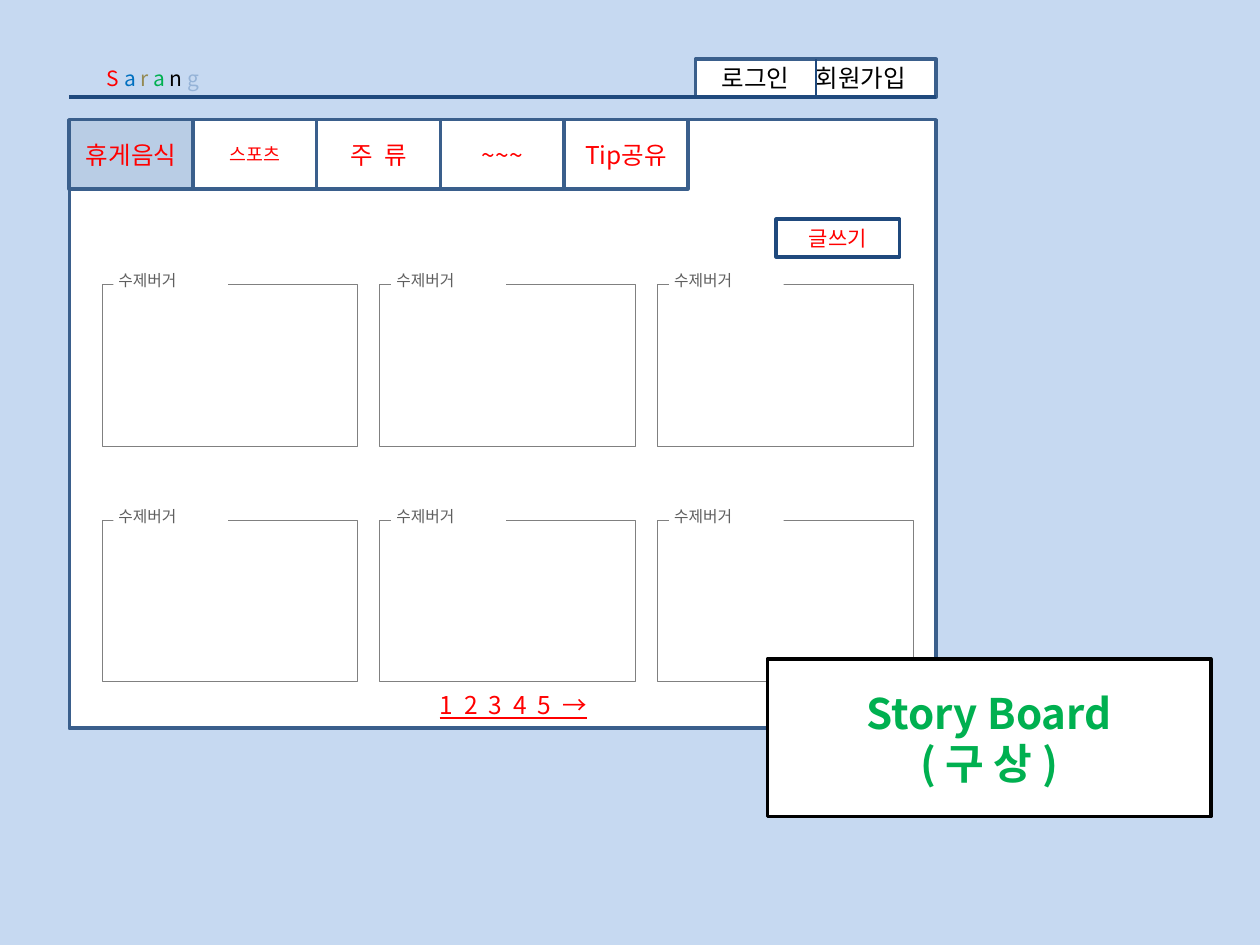
from lxml.etree import SubElement
from pptx import Presentation
from pptx.dml.color import RGBColor
from pptx.enum.shapes import MSO_CONNECTOR, MSO_SHAPE
from pptx.enum.text import MSO_ANCHOR, MSO_AUTO_SIZE, PP_ALIGN
from pptx.oxml.ns import qn
from pptx.util import Inches, Pt

COLORS = {
    "background": "C6D9F1", "white": "FFFFFF", "black": "000000",
    "border": "3A5F8C", "navy": "1F497D", "active": "B9CDE5",
    "card": "808080", "caption": "5F5F5F", "red": "FF0000",
    "blue": "0070C0", "tan": "948A54", "green": "00B050", "pale": "95B3D7",
}
FONT = "Noto Sans CJK KR"
CAPTION_FONT = "Cabin"


def color(name):
    return RGBColor.from_string(COLORS[name])


def place(shape, box):
    shape.left, shape.top, shape.width, shape.height = map(Inches, box)


def style_box(shape, fill=None, line=None, width=2):
    if fill:
        shape.fill.solid()
        shape.fill.fore_color.rgb = color(fill)
    else:
        shape.fill.background()
    if line:
        shape.line.color.rgb = color(line)
        shape.line.width = Pt(width)
    else:
        shape.line.fill.background()


def style_run(run, size, ink, font=FONT):
    run.font.size = Pt(size)
    run.font.name = font
    run.font.color.rgb = color(ink)
    SubElement(run._r.get_or_add_rPr(), qn("a:ea"), typeface=font)


def set_text(shape, text, size, ink, font=FONT, align=PP_ALIGN.CENTER, anchor=MSO_ANCHOR.MIDDLE):
    frame = shape.text_frame
    frame.text = text
    frame.word_wrap = True
    frame.vertical_anchor = anchor
    for paragraph in frame.paragraphs:
        paragraph.alignment = align
        for run in paragraph.runs:
            style_run(run, size, ink, font)
    return frame


def add_box(shapes, box, fill=None, line=None, width=2):
    shape = shapes.add_shape(MSO_SHAPE.RECTANGLE, *map(Inches, box))
    shape.shadow.inherit = False
    style_box(shape, fill, line, width)
    return shape


def add_label(shapes, box, text, size, ink, **options):
    label = shapes.add_textbox(*map(Inches, box))
    return set_text(label, text, size, ink, **options)


def add_line(shapes, start, end, width):
    line = shapes.add_connector(MSO_CONNECTOR.STRAIGHT, *map(Inches, (*start, *end)))
    line.line.color.rgb = color("navy")
    line.line.width = Pt(width)
    SubElement(line._element.spPr, qn("a:effectLst"))
    return line


def add_header(shapes, box):
    left, top, width, height = box
    right, bottom = left + width, top + height
    # Account links share one box, split by a divider
    links_width = 1.91
    half = links_width / 2
    links_left = right - links_width
    links = add_box(shapes, (links_left, top, links_width, height), "white", "border")
    add_label(shapes, (links_left, top, half, height), "로그인", 14, "black")
    sign_up = add_label(shapes, (links_left + half, top, half, height), "회원가입", 14, "black",
                        align=PP_ALIGN.LEFT)
    sign_up.margin_left = 0
    add_line(shapes, (left, bottom), (right, bottom), 2.25)
    middle = links_left + half
    divider = add_line(shapes, (middle, top), (middle, bottom), 1.5)
    divider.begin_connect(links, 0)
    divider.end_connect(links, 2)

    # Site name, one colour for each letter
    frame = add_label(shapes, (left, top, 1.33, height), "", 12, "red")
    inks = ("red", "blue", "tan", "green", "black", "pale")
    for letter, ink in zip(("S ", "a ", "r ", "a ", "n ", "g"), inks):
        run = frame.paragraphs[0].add_run()
        run.text = letter
        style_run(run, 12, ink)


def add_cards(shapes, box, columns=3, rows=2):
    left, top, width, height = box
    card_width, card_height = 2.03, 1.28
    step_x = (width - card_width) / (columns - 1)
    step_y = (height - card_height) / (rows - 1)
    for index in range(columns * rows):
        row, column = divmod(index, columns)
        x, y = left + column * step_x, top + row * step_y
        add_box(shapes, (x, y, card_width, card_height), "white", "card", 0.5)
        # Caption breaks the card's top edge
        caption = add_box(shapes, (x + 0.09, y - 0.12, 0.91, 0.25), "white")
        frame = set_text(caption, "수제버거", 9, "caption", font=CAPTION_FONT,
                         align=PP_ALIGN.LEFT, anchor=MSO_ANCHOR.TOP)
        frame.word_wrap = False
        frame.margin_left = frame.margin_right = Inches(0.04)
        frame.margin_top = frame.margin_bottom = Inches(0.01)


def add_tabs(shapes, box):
    left, top, width, height = box
    tabs = (("휴게음식", 14), ("스포츠", 10.5), ("주  류", 14), ("~~~", 14), ("Tip공유", 14))
    tab_width = width / len(tabs)
    for index, (name, size) in enumerate(tabs):
        fill = "active" if index == 0 else None
        tab = add_box(shapes, (left + index * tab_width, top, tab_width, height), fill, "border")
        set_text(tab, name, size, "red")


def add_board(shapes, box):
    left, top, width, height = box
    add_box(shapes, box, "white", "border")
    add_cards(shapes, (left + 0.26, top + 1.31, 6.44, 3.15))
    add_tabs(shapes, (left, top, 4.91, 0.55))
    # Write button and page numbers
    button = add_box(shapes, (left + 5.61, top + 0.79, 0.98, 0.3), "white", "navy")
    set_text(button, "글쓰기", 12, "red")
    pager = add_label(shapes, (left + 2.08, top + 4.52, 2.89, 0.24), "1  2  3  4  5  →", 14, "red")
    pager.paragraphs[0].runs[0].font.underline = True


def add_title(slide, box):
    title = slide.shapes.title
    place(title, box)
    style_box(title, "white", "black")
    frame = set_text(title, "Story Board\n( 구 상 )", 24, "green")
    frame.auto_size = MSO_AUTO_SIZE.NONE
    for paragraph in frame.paragraphs:
        paragraph.line_spacing = 1.0
        paragraph.space_before = Pt(0)
        paragraph.runs[0].font.bold = True
    # Bring the title in front of the board
    slide.shapes._spTree.append(title._element)


def main():
    presentation = Presentation()
    presentation.slide_width, presentation.slide_height = Inches(10), Inches(7.5)
    slide = presentation.slides.add_slide(presentation.slide_layouts[5])
    slide.background.fill.solid()
    slide.background.fill.fore_color.rgb = color("background")

    screen = slide.shapes.add_group_shape().shapes
    add_header(screen, (0.55, 0.47, 6.88, 0.3))
    add_board(screen, (0.55, 0.95, 6.88, 4.83))
    add_title(slide, (6.09, 5.23, 3.52, 1.25))
    presentation.save("out.pptx")


if __name__ == "__main__":
    main()
